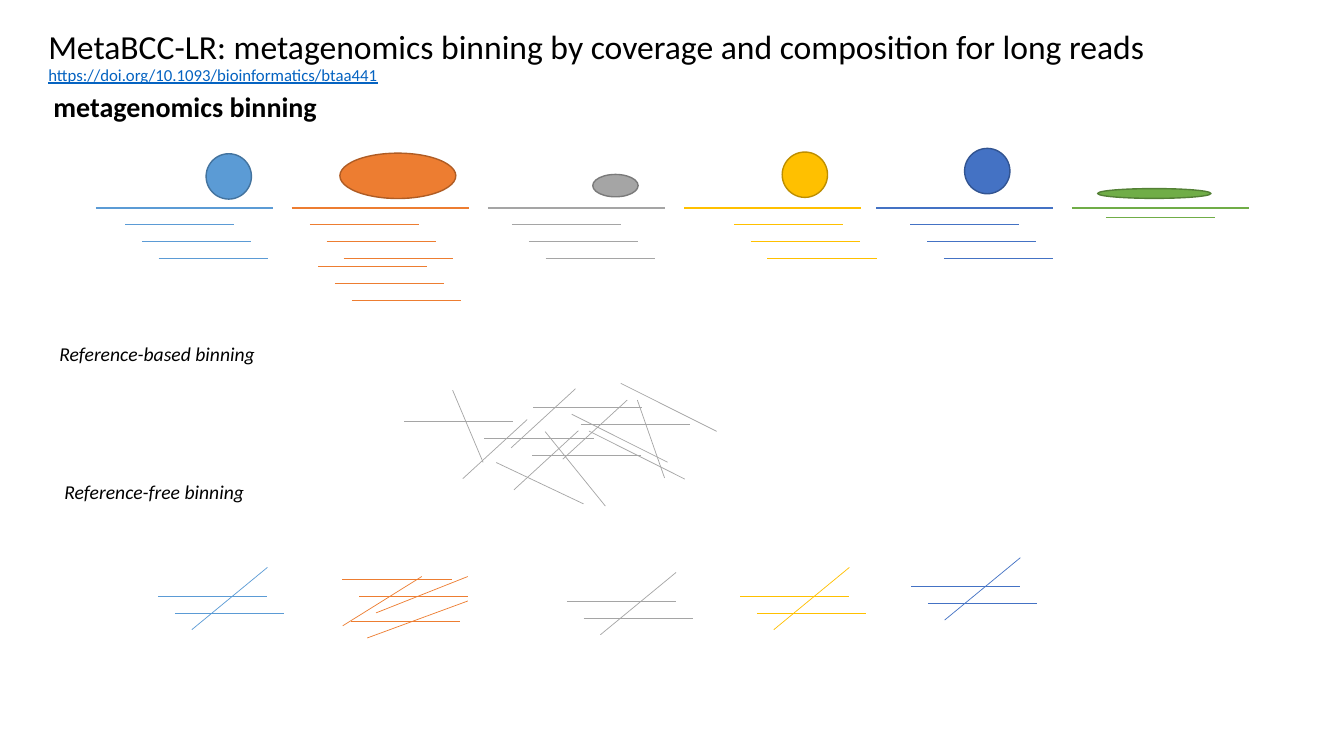
from pptx import Presentation
from pptx.dml.color import RGBColor
from pptx.enum.shapes import MSO_CONNECTOR, MSO_SHAPE
from pptx.enum.text import MSO_ANCHOR
from pptx.oxml.ns import qn
from pptx.util import Pt
from lxml.etree import SubElement

THEME = {
    "font": "Calibri", "text": "000000", "link": "0563C1",
    "title": 24, "head": 20, "label": 14, "small": 12,
    "thick": 1.5, "thin": 0.5, "edge": 1,
    "blue": ("5B9BD5", "43739E"), "orange": ("ED7D31", "AF5C24"),
    "gray": ("A5A5A5", "7A7A7A"), "gold": ("FFC000", "BD8E00"),
    "navy": ("4472C4", "325491"), "green": ("70AD47", "538035"),
}

# Content: all lengths in points
TITLE = "MetaBCC-LR: metagenomics binning by coverage and composition for long reads"
LINK = "https://doi.org/10.1093/bioinformatics/btaa441"
HEAD = "metagenomics binning"
LABELS = [("Reference-based binning", 35.3, 240.5, 155.5),
          ("Reference-free binning", 38.9, 339.1, 144)]

# Hue, genome left, cell (left, top, width, height)
GENOMES = [
    ("blue", 68.4, (147.2, 109.8, 32.4, 32.4)),
    ("orange", 208.4, (242.8, 109.4, 82.8, 32.4)),
    ("gray", 348.5, (423.4, 124.6, 32.4, 16)),
    ("gold", 488.7, (558.7, 108.6, 32.4, 32.4)),
    ("navy", 625.8, (689, 106, 32.4, 32.4)),
    ("green", 765.6, (784, 134.7, 81, 7)),
]
# Hue, left, top, number of stepped reads
STACKS = [
    ("blue", 89.3, 160.4, 3), ("orange", 221.4, 160.4, 3),
    ("orange", 227.3, 190.2, 3), ("gray", 365.7, 160.4, 3),
    ("gold", 524.2, 160.4, 3), ("navy", 650.2, 160.4, 3),
    ("green", 789.9, 155.4, 1),
    ("orange", 244.6, 414, 2), ("orange", 250.4, 443.7, 1),
]
# Mixed reads: (run, rise) and the starts that share it
POOL = [
    ((78, 0), [(346, 313.1), (288.6, 301), (380.1, 325), (380.8, 291), (415, 303)]),
    ((-46, 42.2), [(376.6, 299.7), (413.1, 307.7), (411.1, 277.7), (448, 285.8)]),
    ((68.5, 34.3), [(408.4, 295.9), (420.7, 307.9), (443.4, 273.8)]),
    ((62.3, 29.5), [(354.5, 330.4)]),
    ((21.8, 51.6), [(323.3, 278.7)]),
    ((43, 53.2), [(389.4, 308.3)]),
    ((19.4, 55.6), [(455.3, 285.8)]),
]
BINS = [("blue", 113, 425.8), ("gray", 404.9, 429.4),
        ("gold", 528.7, 425.8), ("navy", 650.8, 418.9)]
SLANTS = [((268.6, 437.8), (334.2, 411.8)), ((262.3, 455.7), (334.2, 429.3)),
          ((244.8, 447), (301.3, 411.8))]

READ, STEP = 78, 12
GENOME, BASE = 126.5, 148.4

deck = Presentation()
deck.slide_width, deck.slide_height = Pt(960), Pt(540)
slide = deck.slides.add_slide(deck.slide_layouts[6])
shapes = slide.shapes


def color(code):
    return RGBColor.from_string(code)


def line(hue, start, end, width=THEME["thin"]):
    item = shapes.add_connector(MSO_CONNECTOR.STRAIGHT,
                                *(Pt(v) for v in (*start, *end)))
    item.line.color.rgb = color(THEME[hue][0])
    item.line.width = Pt(width)
    SubElement(item._element.spPr, qn("a:effectLst"))


def stack(hue, left, top, count):
    for n in range(count):
        x, y = left + n * STEP, top + n * STEP
        line(hue, (x, y), (x + READ, y))


def style(font, size, code=THEME["text"]):
    font.name, font.size = THEME["font"], Pt(size)
    font.color.rgb = color(code)


def box(area, wrap=True):
    frame = shapes.add_textbox(*(Pt(v) for v in area)).text_frame
    frame.word_wrap = wrap
    if wrap:
        frame.vertical_anchor = MSO_ANCHOR.MIDDLE
        frame.paragraphs[0].line_spacing = 0.9
    return frame.paragraphs[0]


# Title and link
para = box((27.4, 17.3, 923.8, 47.5))
run = para.add_run()
run.text = TITLE
style(run.font, THEME["title"])
para.add_line_break()
run = para.add_run()
run.text = LINK
style(run.font, THEME["small"], THEME["link"])
run.font.underline = True

# Headings
para = box((31, 63.4, 778.3, 28.8))
para.text = HEAD
style(para.font, THEME["head"])
para.font.bold = True
for text, left, top, width in LABELS:
    para = box((left, top, width, 24.5), wrap=False)
    para.text = text
    style(para.font, THEME["label"])
    para.font.italic = True

# Genomes and cells
for hue, left, area in GENOMES:
    line(hue, (left, BASE), (left + GENOME, BASE), THEME["thick"])
    cell = shapes.add_shape(MSO_SHAPE.OVAL, *(Pt(v) for v in area))
    cell.shadow.inherit = False
    fill, edge = THEME[hue]
    cell.fill.solid()
    cell.fill.fore_color.rgb = color(fill)
    cell.line.color.rgb = color(edge)
    cell.line.width = Pt(THEME["edge"])

# Reads sorted by genome
for item in STACKS:
    stack(*item)

# Mixed reads
for (run_x, rise), starts in POOL:
    for x, y in starts:
        line("gray", (x, y), (x + run_x, y + rise))

# Bins: two stepped reads and one crossing them
for hue, x, y in BINS:
    stack(hue, x, y, 2)
    line(hue, (x + 2 * STEP, y + 2 * STEP), (x + READ, y - 20.5))
for start, end in SLANTS:
    line("orange", start, end)

deck.save("out.pptx")
